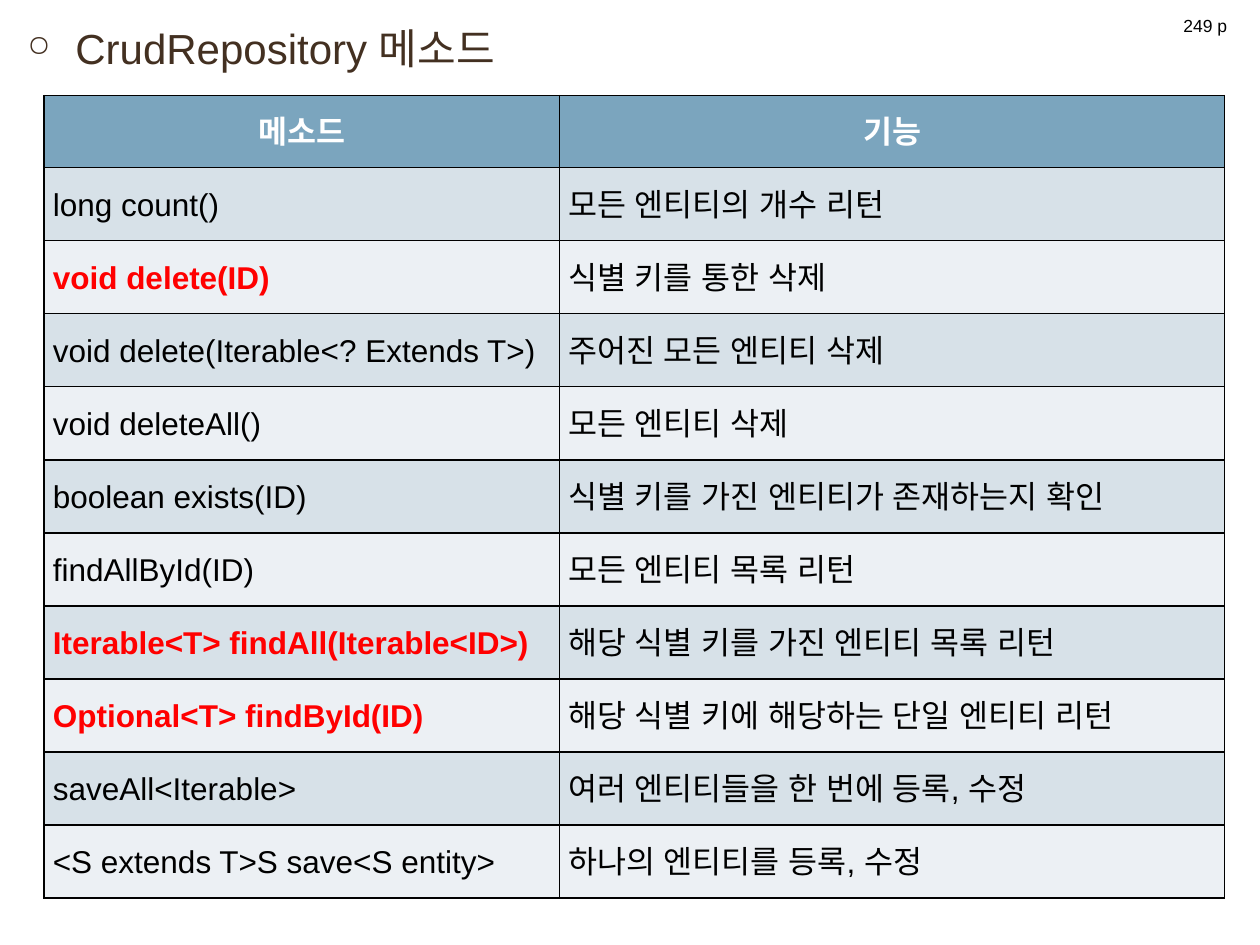
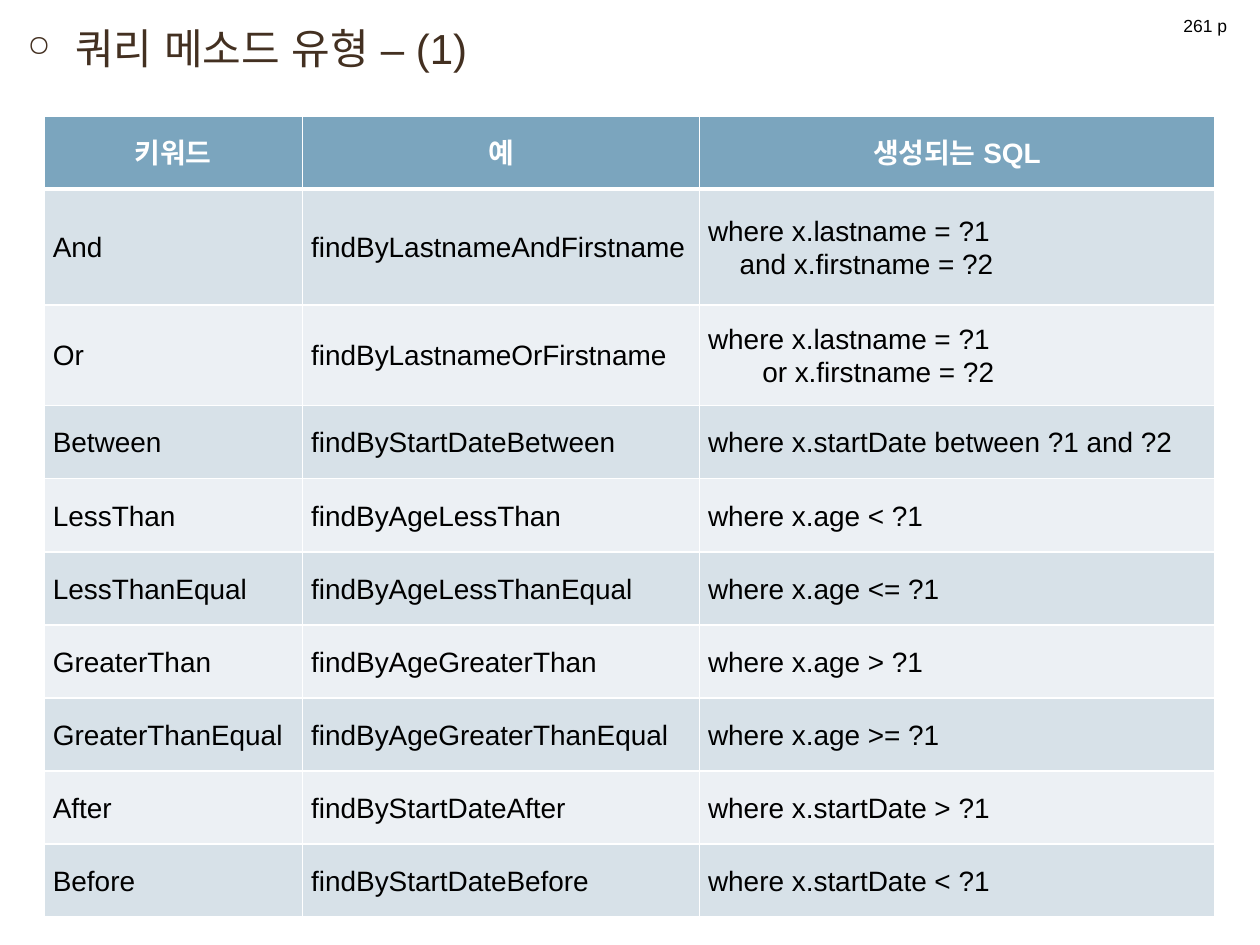
from dataclasses import dataclass

from pptx import Presentation
from pptx import util as u
from pptx.dml.color import RGBColor
from pptx.enum import shapes, text
from pptx.oxml import ns, xmlchemy as xc

# Shared look
WHITE = RGBColor(0xFF, 0xFF, 0xFF)
BLACK = RGBColor(0x00, 0x00, 0x00)
RED = RGBColor(0xFF, 0x00, 0x00)
BROWN = RGBColor(0x43, 0x30, 0x21)
HEAD = RGBColor(0x7B, 0xA5, 0xBE)
BANDS = (RGBColor(0xD7, 0xE1, 0xE8), RGBColor(0xEC, 0xF0, 0xF4))
FONT = "Arial"
ALIGN = text.PP_ALIGN

# The slide is a grid of 100 columns by 75 rows
WIDE, HIGH = u.Inches(10), u.Inches(7.5)
COLS = 100
BODY = (1.2, 1.3, 97.6, 72.4)
BADGE = (91.7, 0.5, 7.9, 3.1)
LEFT, ROW = 3.5, 5.8
PAD, HANG = 0.7, 3.8

# Indent of a continued SQL line, by its first word
SHIFT = {"and": 2.5, "or": 4.3}


@dataclass
class Page:
    title: str
    badge: str
    top: float
    cols: tuple[float, ...]
    size: int
    edge: RGBColor
    rule: int  # weight of the line below the header
    rows: list[tuple[str, ...]]
    tall: dict[int, float]
    hot: tuple[int, ...] = ()


PAGES = [
    Page(
        "CrudRepository 메소드", "249 p", 7.6, (40.9, 52.8), 18, BLACK, 1,
        [
            ("메소드", "기능"),
            ("long count()", "모든 엔티티의 개수 리턴"),
            ("void delete(ID)", "식별 키를 통한 삭제"),
            ("void delete(Iterable<? Extends T>)", "주어진 모든 엔티티 삭제"),
            ("void deleteAll()", "모든 엔티티 삭제"),
            ("boolean exists(ID)", "식별 키를 가진 엔티티가 존재하는지 확인"),
            ("findAllById(ID)", "모든 엔티티 목록 리턴"),
            ("Iterable<T> findAll(Iterable<ID>)", "해당 식별 키를 가진 엔티티 목록 리턴"),
            ("Optional<T> findById(ID)", "해당 식별 키에 해당하는 단일 엔티티 리턴"),
            ("saveAll<Iterable>", "여러 엔티티들을 한 번에 등록, 수정"),
            ("<S extends T>S save<S entity>", "하나의 엔티티를 등록, 수정"),
        ],
        tall={0: 5.7}, hot=(2, 7, 8),
    ),
    Page(
        "쿼리 메소드 유형 – (1)", "261 p", 9.2, (20.5, 31.5, 40.9), 16, WHITE, 3,
        [
            ("키워드", "예", "생성되는 SQL"),
            ("And", "findByLastnameAndFirstname",
             "where x.lastname = ?1\nand x.firstname = ?2"),
            ("Or", "findByLastnameOrFirstname",
             "where x.lastname = ?1\nor x.firstname = ?2"),
            ("Between", "findByStartDateBetween", "where x.startDate between ?1 and ?2"),
            ("LessThan", "findByAgeLessThan", "where x.age < ?1"),
            ("LessThanEqual", "findByAgeLessThanEqual", "where x.age <= ?1"),
            ("GreaterThan", "findByAgeGreaterThan", "where x.age > ?1"),
            ("GreaterThanEqual", "findByAgeGreaterThanEqual", "where x.age >= ?1"),
            ("After", "findByStartDateAfter", "where x.startDate > ?1"),
            ("Before", "findByStartDateBefore", "where x.startDate < ?1"),
        ],
        tall={1: 9.2, 2: 8},
    ),
]


def grid(n: float) -> int:
    return round(WIDE * n / COLS)


def place(box: tuple[float, ...]) -> list[int]:
    return [grid(n) for n in box]


def add(node, tag: str, **attrs):
    """Append an XML child with its attributes."""
    child = xc.OxmlElement(tag)
    for key, val in attrs.items():
        child.set(key, str(val))
    node.append(child)
    return child


def write(frame, words: str, *, size: float, color: RGBColor, bold: bool = False,
          align=ALIGN.LEFT, lead: float | None = None) -> None:
    """Fill a text frame, one paragraph a line."""
    for i, line in enumerate(words.split("\n")):
        para = frame.add_paragraph() if i else frame.paragraphs[0]
        para.alignment, para.line_spacing = align, lead
        shift = SHIFT.get(line.split()[0])
        if shift:
            para._p.get_or_add_pPr().set("marL", str(grid(shift)))
        run = para.add_run()
        run.text = line
        font = run.font
        font.name, font.size, font.bold = FONT, u.Pt(size), bold
        font.color.rgb = color
        add(run._r.get_or_add_rPr(), "a:ea", typeface=FONT)


def title(slide, words: str) -> None:
    frame = slide.shapes.add_textbox(*place(BODY)).text_frame
    frame.word_wrap = True
    write(frame, words, size=24, color=BROWN)
    para = frame.paragraphs[0]
    para.space_before = u.Pt(4.8)
    props = para._p.get_or_add_pPr()
    props.set("marL", str(grid(HANG)))
    props.set("indent", str(-grid(HANG)))
    add(props, "a:buSzPct", val=70000)
    add(props, "a:buChar", char="○")


def badge(slide, words: str) -> None:
    box = slide.shapes.add_shape(shapes.MSO_SHAPE.RECTANGLE, *place(BADGE))
    box.shadow.inherit = False
    box.fill.solid()
    box.fill.fore_color.rgb = WHITE
    box.line.color.rgb = WHITE
    box.line.width = u.Pt(1.25)
    box.text_frame.vertical_anchor = text.MSO_ANCHOR.MIDDLE
    write(box.text_frame, words, size=10, color=BLACK, align=ALIGN.CENTER)


def border(cell, color: RGBColor, top: int, base: int) -> None:
    props = cell._tc.get_or_add_tcPr()
    for side, pts in (("L", 1), ("R", 1), ("T", top), ("B", base)):
        line = add(props, f"a:ln{side}", w=u.Pt(pts))
        add(add(line, "a:solidFill"), "a:srgbClr", val=color)


def table(slide, page: Page) -> None:
    highs = [page.tall.get(r, ROW) for r in range(len(page.rows))]
    box = place((LEFT, page.top, sum(page.cols), sum(highs)))
    tab = slide.shapes.add_table(len(highs), len(page.cols), *box).table
    tab.first_row = tab.horz_banding = False
    for col, wide in zip(tab.columns, page.cols):
        col.width = grid(wide)
    for r, (row, high) in enumerate(zip(page.rows, highs)):
        tab.rows[r].height = grid(high)
        head = r == 0
        for c, words in enumerate(row):
            cell = tab.cell(r, c)
            hot = c == 0 and r in page.hot
            cell.vertical_anchor = text.MSO_ANCHOR.MIDDLE
            cell.margin_left = cell.margin_right = grid(PAD)
            cell.margin_top = cell.margin_bottom = 0
            border(cell, page.edge, page.rule if r == 1 else 1, page.rule if head else 1)
            cell.fill.solid()
            cell.fill.fore_color.rgb = HEAD if head else BANDS[(r - 1) % 2]
            write(cell.text_frame, words, size=page.size, lead=1.07, bold=head or hot,
                  color=WHITE if head else RED if hot else BLACK,
                  align=ALIGN.CENTER if head else ALIGN.JUSTIFY)


def main() -> None:
    deck = Presentation()
    deck.slide_width, deck.slide_height = WIDE, HIGH
    for page in PAGES:
        slide = deck.slides.add_slide(deck.slide_layouts[6])
        title(slide, page.title)
        table(slide, page)
        badge(slide, page.badge)
    deck.save("out.pptx")


if __name__ == "__main__":
    main()
